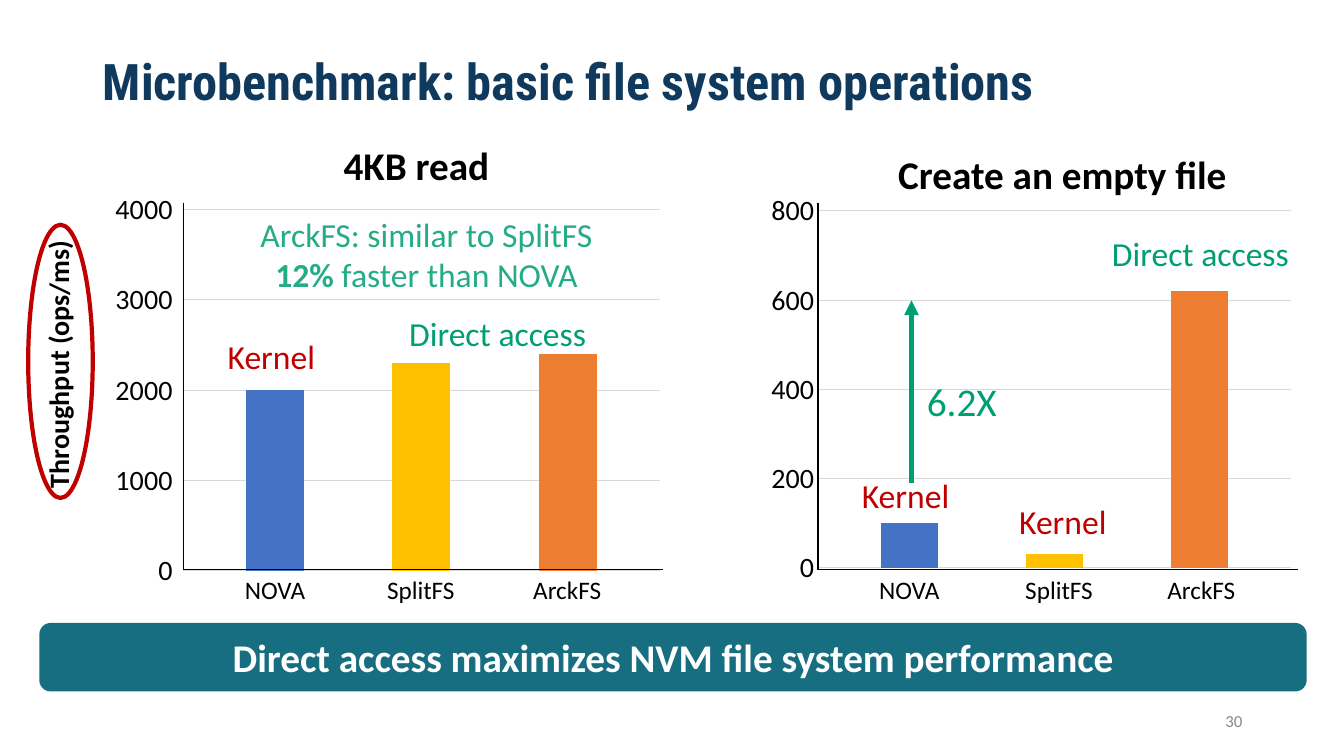
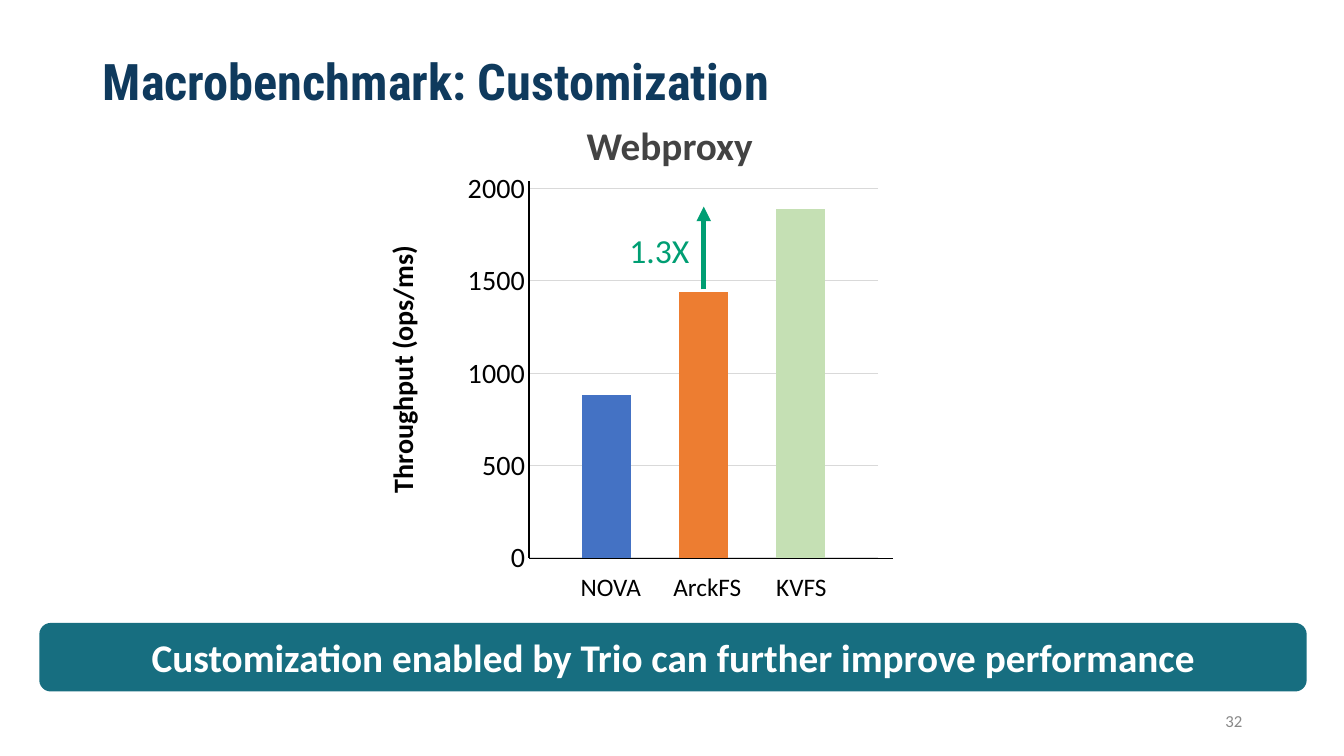
from lxml.etree import SubElement
from pptx import Presentation
from pptx.chart.data import CategoryChartData
from pptx.dml.color import RGBColor
from pptx.enum.chart import XL_CHART_TYPE, XL_TICK_LABEL_POSITION, XL_TICK_MARK
from pptx.enum.shapes import MSO_CONNECTOR, MSO_SHAPE
from pptx.enum.text import MSO_ANCHOR, MSO_AUTO_SIZE, PP_ALIGN
from pptx.oxml import parse_xml
from pptx.oxml.ns import nsdecls, qn
from pptx.util import Inches, Pt

BLACK = RGBColor(0x00, 0x00, 0x00)
WHITE = RGBColor(0xFF, 0xFF, 0xFF)
NAVY = RGBColor(0x0F, 0x3A, 0x5D)
TEAL = RGBColor(0x17, 0x6E, 0x80)
GREEN = RGBColor(0x00, 0x9E, 0x73)
MINT = RGBColor(0x24, 0xAC, 0x87)
RED = RGBColor(0xC0, 0x00, 0x00)
CHARCOAL = RGBColor(0x43, 0x43, 0x43)
GRAY = RGBColor(0x88, 0x88, 0x88)
GRID = RGBColor(0xD9, 0xD9, 0xD9)
BLUE = RGBColor(0x44, 0x72, 0xC4)
ORANGE = RGBColor(0xED, 0x7D, 0x31)
YELLOW = RGBColor(0xFF, 0xC0, 0x00)
LIME = RGBColor(0xC5, 0xE0, 0xB4)

TITLE = {"name": "Roboto Condensed", "size": Pt(36), "bold": True}
HEADING = {"name": "Calibri", "size": Pt(28), "bold": True}
AXIS_TITLE = {"name": "Calibri", "size": Pt(20), "bold": True}
TICK = {"name": "Calibri", "size": Pt(20), "bold": False}
CHART = {"name": "Calibri", "size": Pt(10), "bold": False}
CALLOUT = {"name": "Calibri", "size": Pt(28), "bold": False}
NOTE = {"name": "Calibri", "size": Pt(24), "bold": False}
STRONG_NOTE = {**NOTE, "bold": True}
CATEGORY = {"name": "Calibri", "size": Pt(18), "bold": False}
FOOTER = {"name": "Calibri", "size": Pt(12), "bold": False}

LEFT, CENTER, RIGHT = PP_ALIGN.LEFT, PP_ALIGN.CENTER, PP_ALIGN.RIGHT
SYSTEM_COLORS = [BLUE, ORANGE, YELLOW, YELLOW, ORANGE]

PAGES = [
    {
        "title": "Microbenchmark: basic file system operations",
        "number": "30",
        "banner": "Direct access maximizes NVM file system performance",
        "axis_title": (-0.75, 3.39),
        "charts": [
            {"at": (0.39, 1.78, 6.32, 4.85), "plot": (0.225, 0.062, 0.749, 0.739),
             "values": [2000, None, 2300, None, 2400], "colors": SYSTEM_COLORS,
             "maximum": 4000, "step": 1000, "overlap": -27,
             "labels": XL_TICK_LABEL_POSITION.LOW},
            {"at": (5.97, 1.83, 6.84, 4.94), "plot": (0.314, 0.053, 0.686, 0.717),
             "values": [100, None, 30, None, 620], "colors": SYSTEM_COLORS,
             "maximum": 800, "step": 200, "overlap": -27,
             "labels": XL_TICK_LABEL_POSITION.NEXT_TO_AXIS},
        ],
        "axes": [(1.82, 2.01, 6.58, 5.65), (8.11, 2.01, 12.87, 5.65)],
        "arrow": (9.04, 4.79, 2.98),
        "categories": [(2.33, "NOVA"), (3.74, "SplitFS"), (5.19, "ArckFS"),
                       (8.62, "NOVA"), (10.07, "SplitFS"), (11.48, "ArckFS")],
        "category_top": 5.65,
        "texts": [
            ((3.31, 1.35, 1.66, 0.57), [[("4KB read", HEADING)]], BLACK, LEFT),
            ((8.81, 1.44, 3.65, 0.57), [[("Create an empty file", HEADING)]], BLACK, LEFT),
            ((8.95, 3.69, 1.18, 0.57), [[("6.2X", CALLOUT)]], GREEN, CENTER),
            ((2.4, 2.07, 3.66, 0.91),
             [[("ArckFS: similar to SplitFS", NOTE)],
              [("12%", STRONG_NOTE), (" faster than NOVA", NOTE)]], MINT, CENTER),
            ((10.93, 2.26, 2.01, 0.5), [[("Direct access", NOTE)]], GREEN, LEFT),
            ((3.96, 3.06, 2.01, 0.5), [[("Direct access", NOTE)]], GREEN, LEFT),
            ((2.16, 3.28, 1.18, 0.5), [[("Kernel", NOTE)]], RED, LEFT),
            ((8.45, 4.66, 1.18, 0.5), [[("Kernel", NOTE)]], RED, LEFT),
            ((10.01, 4.92, 1.18, 0.5), [[("Kernel", NOTE)]], RED, LEFT),
        ],
        "ellipses": [(0.28, 2.23, 0.64, 2.71)],
    },
    {
        "title": "Macrobenchmark: Customization",
        "number": "32",
        "banner": "Customization enabled by Trio can further improve performance",
        "axis_title": (2.66, 3.44),
        "charts": [
            {"at": (3.61, 1.63, 6.4, 4.5), "plot": (0.256, 0.053, 0.541, 0.815),
             "values": [880, 1440, 1890], "colors": [BLUE, ORANGE, LIME],
             "maximum": 2000, "step": 500, "overlap": -100,
             "labels": XL_TICK_LABEL_POSITION.NEXT_TO_AXIS},
        ],
        "axes": [(5.25, 1.8, 8.86, 5.54)],
        "arrow": (6.98, 2.87, 2.05),
        "categories": [(5.66, "NOVA"), (6.58, "ArckFS"), (7.6, "KVFS")],
        "category_top": 5.62,
        "texts": [
            ((5.72, 1.15, 1.89, 0.57), [[("Webproxy", HEADING)]], CHARCOAL, LEFT),
            ((5.95, 2.23, 1.18, 0.5), [[("1.3X", NOTE)]], GREEN, CENTER),
        ],
        "ellipses": [],
    },
]


def apply_font(font, style, color):
    for attribute, value in style.items():
        setattr(font, attribute, value)
    font.color.rgb = color


def write_text(frame, lines, color, alignment):
    for index, line in enumerate(lines):
        para = frame.add_paragraph() if index else frame.paragraphs[0]
        para.alignment = alignment
        for words, style in line:
            span = para.add_run()
            span.text = words
            apply_font(span.font, style, color)


deck = Presentation()
deck.slide_width = Inches(13.33)
deck.slide_height = Inches(7.5)

for content in PAGES:
    page = deck.slides.add_slide(deck.slide_layouts[5])

    title = page.shapes.title
    position = {"left": 0.92, "top": 0.4, "width": 12.04, "height": 0.87}
    for attribute, value in position.items():
        setattr(title, attribute, Inches(value))
    title.text_frame.auto_size = MSO_AUTO_SIZE.NONE
    title.text_frame.vertical_anchor = MSO_ANCHOR.MIDDLE
    write_text(title.text_frame, [[(content["title"], TITLE)]], NAVY, LEFT)
    title.text_frame.paragraphs[0].line_spacing = 0.9

    for graph in content["charts"]:
        data = CategoryChartData()
        data.categories = ["1"]
        for number, value in enumerate(graph["values"], 1):
            data.add_series(f"Series {number}", [value])
        chart = page.shapes.add_chart(
            XL_CHART_TYPE.COLUMN_CLUSTERED, *map(Inches, graph["at"]), data).chart
        chart.has_legend = False
        chart.has_title = False
        apply_font(chart.font, CHART, BLACK)
        chart.category_axis.visible = False

        axis = chart.value_axis
        settings = {"minimum_scale": 0, "maximum_scale": graph["maximum"],
                    "major_unit": graph["step"], "major_tick_mark": XL_TICK_MARK.NONE,
                    "minor_tick_mark": XL_TICK_MARK.NONE,
                    "tick_label_position": graph["labels"], "has_major_gridlines": True}
        for attribute, value in settings.items():
            setattr(axis, attribute, value)
        apply_font(axis.tick_labels.font, TICK, BLACK)
        axis.format.line.fill.background()
        axis.major_gridlines.format.line.color.rgb = GRID
        axis.major_gridlines.format.line.width = Pt(0.75)

        plot = chart.plots[0]
        plot.vary_by_categories = False
        plot.gap_width = 219
        plot.overlap = graph["overlap"]
        for series, color in zip(plot.series, graph["colors"]):
            series.format.fill.solid()
            series.format.fill.fore_color.rgb = color

        body = chart.element.find(qn("c:chart"))
        body.addnext(parse_xml(
            f'<c:spPr {nsdecls("c", "a")}><a:noFill/><a:ln><a:noFill/></a:ln></c:spPr>'))
        area = body.find(qn("c:plotArea"))
        for layout in area.findall(qn("c:layout")):
            area.remove(layout)
        layout = parse_xml(f'<c:layout {nsdecls("c")}><c:manualLayout/></c:layout>')
        area.insert(0, layout)
        entries = [("layoutTarget", "inner"), ("xMode", "edge"), ("yMode", "edge")]
        entries += zip("xywh", graph["plot"])
        for name, value in entries:
            SubElement(layout[0], qn(f"c:{name}")).set("val", str(value))

    lines = []
    for left, top, right, bottom in content["axes"]:
        lines.append((left, top, left, bottom, BLACK, 1.25))
        lines.append((left, bottom, right, bottom, BLACK, 1.25))
    arrow_x, arrow_start, arrow_end = content["arrow"]
    lines.append((arrow_x, arrow_start, arrow_x, arrow_end, GREEN, 3.5))
    for *ends, color, width in lines:
        connector = page.shapes.add_connector(MSO_CONNECTOR.STRAIGHT, *map(Inches, ends))
        connector.line.color.rgb = color
        connector.line.width = Pt(width)
        properties = connector.element.spPr
        if color == GREEN:
            SubElement(properties.find(qn("a:ln")), qn("a:tailEnd")).set("type", "triangle")
        SubElement(properties, qn("a:effectLst"))

    for place in content["ellipses"]:
        ellipse = page.shapes.add_shape(MSO_SHAPE.OVAL, *map(Inches, place))
        ellipse.shadow.inherit = False
        ellipse.fill.background()
        ellipse.line.color.rgb = RED
        ellipse.line.width = Pt(3)

    texts = list(content["texts"])
    for left, name in content["categories"]:
        place = (left, content["category_top"], 0.88, 0.4)
        texts.append((place, [[(name, CATEGORY)]], BLACK, LEFT))
    for place, paragraphs, color, alignment in texts:
        box = page.shapes.add_textbox(*map(Inches, place))
        box.text_frame.word_wrap = True
        write_text(box.text_frame, paragraphs, color, alignment)

    axis_box = page.shapes.add_textbox(
        *map(Inches, content["axis_title"]), Inches(2.66), Inches(0.44))
    axis_box.rotation = 270
    axis_box.text_frame.word_wrap = True
    write_text(axis_box.text_frame, [[("Throughput (ops/ms)", AXIS_TITLE)]], BLACK, LEFT)

    banner = page.shapes.add_shape(
        MSO_SHAPE.ROUNDED_RECTANGLE, *map(Inches, (0.39, 6.18, 12.57, 0.68)))
    banner.shadow.inherit = False
    banner.fill.solid()
    banner.fill.fore_color.rgb = TEAL
    banner.line.fill.background()
    banner.text_frame.vertical_anchor = MSO_ANCHOR.MIDDLE
    write_text(banner.text_frame, [[(content["banner"], HEADING)]], WHITE, CENTER)

    number_box = page.shapes.add_textbox(*map(Inches, (9.42, 6.95, 3, 0.4)))
    number_box.text_frame.word_wrap = True
    number_box.text_frame.vertical_anchor = MSO_ANCHOR.MIDDLE
    write_text(number_box.text_frame, [[(content["number"], FOOTER)]], GRAY, RIGHT)

deck.save("out.pptx")
